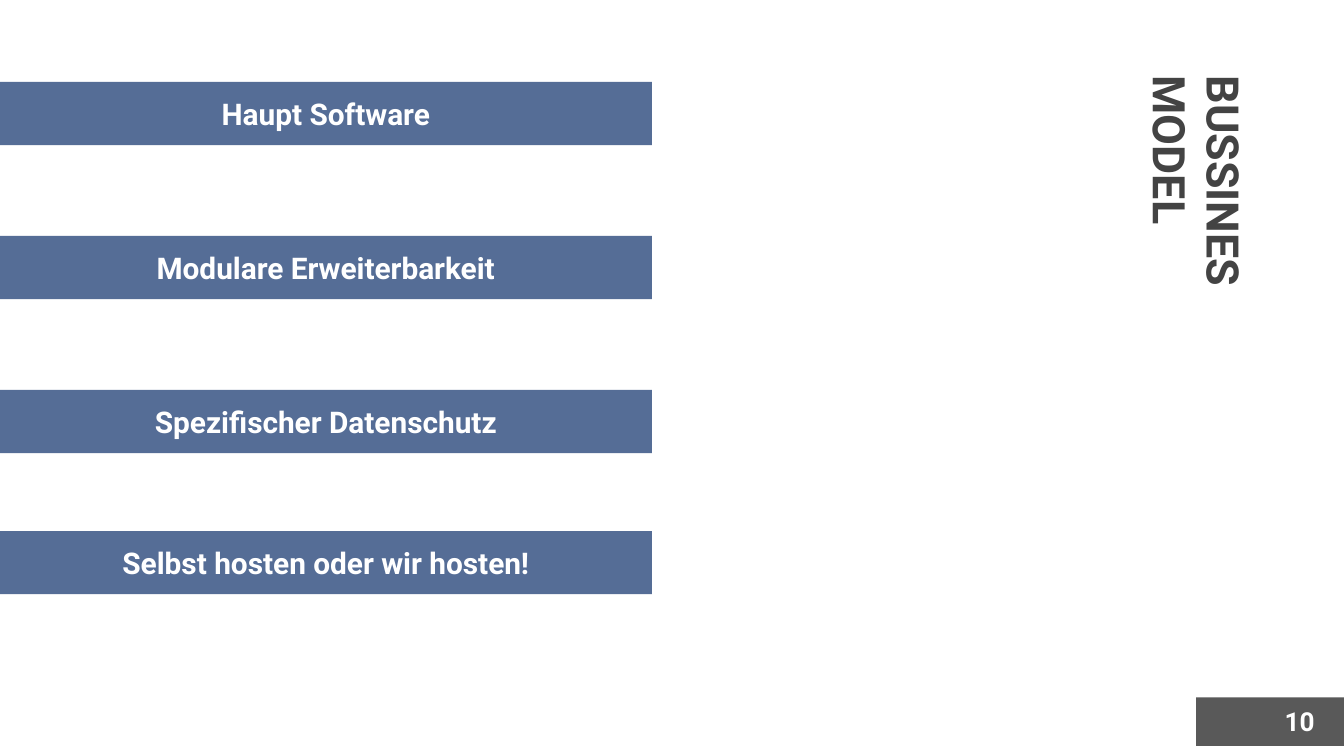
import dataclasses

import pptx
import pptx.dml.color
import pptx.enum.shapes
import pptx.enum.text
import pptx.util

WIDTH = pptx.util.Inches(10)
HEIGHT = WIDTH * 9 // 16
COLS = 100
CELL = WIDTH / COLS
FONT = "Roboto"
BLUE = "556D96"
GREY = "595959"
DARK = "434343"
WHITE = "FFFFFF"
ALIGN = pptx.enum.text.PP_ALIGN
ANCHOR = pptx.enum.text.MSO_ANCHOR


@dataclasses.dataclass
class Area:
    col: float
    row: float
    cols: float
    rows: float

    def box(self) -> list[int]:
        return [round(n * CELL) for n in (self.col, self.row, self.cols, self.rows)]


@dataclasses.dataclass
class Bar:
    text: str
    row: float


FIRST, STEP = 6.1, 11.46
BARS = [
    Bar("Haupt Software", FIRST),
    Bar("Modulare Erweiterbarkeit", FIRST + STEP),
    Bar("Spezifischer Datenschutz", FIRST + 2 * STEP),
    Bar("Selbst hosten oder wir hosten!", 39.52),
]


def tint(code: str) -> pptx.dml.color.RGBColor:
    return pptx.dml.color.RGBColor.from_string(code)


def block(slide, area: Area, fill: str):
    shape = slide.shapes.add_shape(
        pptx.enum.shapes.MSO_SHAPE.RECTANGLE, *area.box()
    )
    shape.shadow.inherit = False
    shape.fill.solid()
    shape.fill.fore_color.rgb = tint(fill)
    shape.line.fill.background()
    return shape


def write(shape, text: str, *, size: float, color: str = WHITE,
          align=ALIGN.LEFT, anchor=ANCHOR.TOP) -> None:
    frame = shape.text_frame
    frame.word_wrap = True
    frame.vertical_anchor = anchor
    inset = pptx.util.Inches(0.1)
    frame.margin_left = frame.margin_right = inset
    frame.margin_top = frame.margin_bottom = inset
    frame.text = text
    for para in frame.paragraphs:
        para.alignment = align
        for run in para.runs:
            run.font.name = FONT
            run.font.size = pptx.util.Pt(size)
            run.font.bold = True
            run.font.color.rgb = tint(color)


def label(slide, area: Area, text: str, turn: float = 0, **style) -> None:
    shape = slide.shapes.add_textbox(*area.box())
    shape.rotation = turn
    write(shape, text, **style)


def main() -> None:
    deck = pptx.Presentation()
    deck.slide_width, deck.slide_height = WIDTH, HEIGHT
    slide = deck.slides.add_slide(deck.slide_layouts[6])
    label(slide, Area(75.7, 15.4, 26.8, 5.3), "BUSSINES\nMODEL", turn=90,
          size=24, color=DARK, anchor=ANCHOR.MIDDLE)
    for bar in BARS:
        shape = block(slide, Area(0, bar.row, 48.5, 4.7), BLUE)
        write(shape, bar.text, size=16, align=ALIGN.CENTER)
    block(slide, Area(89, 51.9, 11, 3.6), GREY)
    label(slide, Area(93.6, 51.5, 5.2, 4.4), "10", size=14, align=ALIGN.RIGHT)
    deck.save("out.pptx")


if __name__ == "__main__":
    main()
